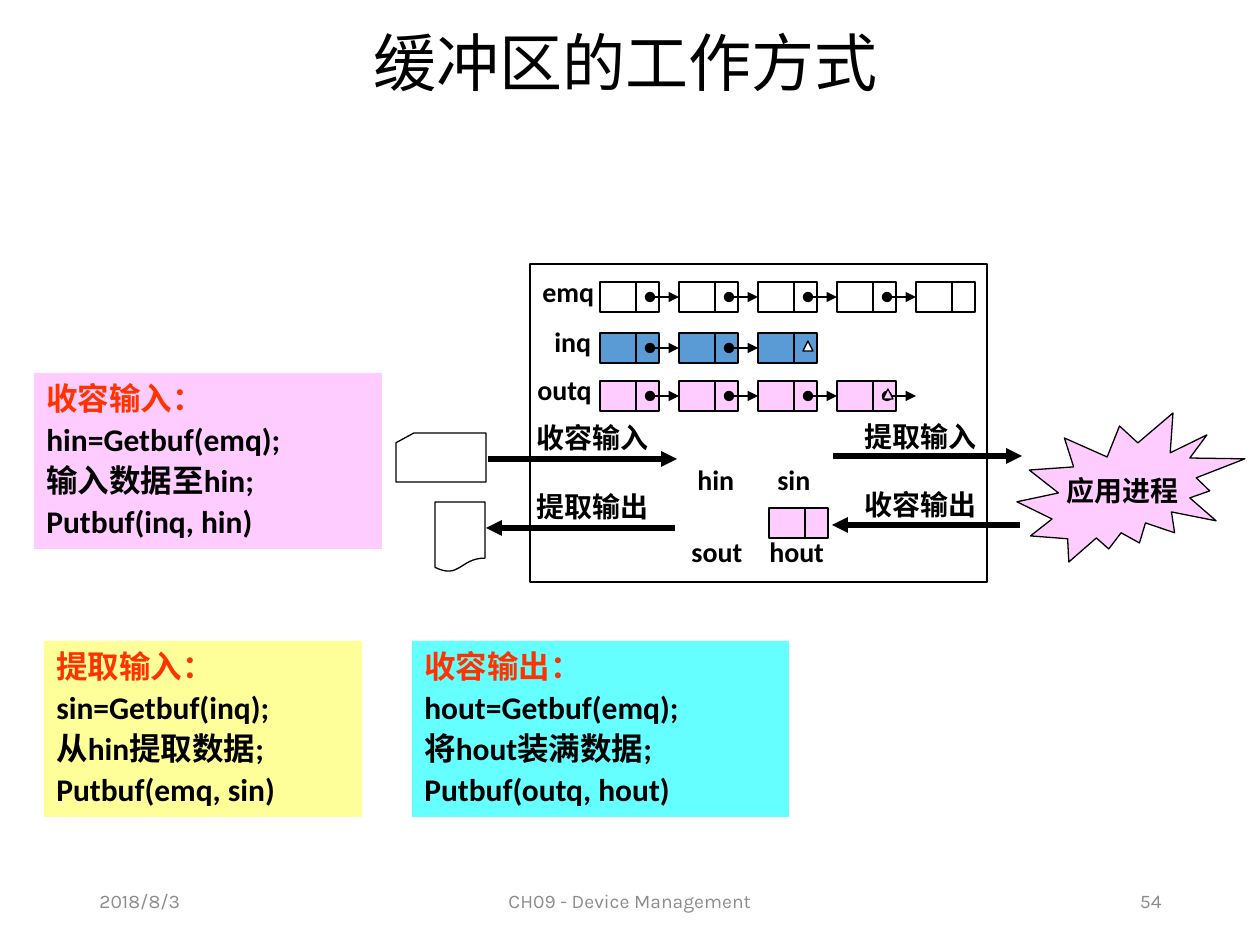
"""Build the slide on how a buffer pool works."""
from lxml import etree
from pptx import Presentation
from pptx.dml.color import RGBColor
from pptx.enum.shapes import MSO_CONNECTOR, MSO_SHAPE
from pptx.enum.text import MSO_ANCHOR, PP_ALIGN
from pptx.oxml.ns import qn
from pptx.util import Emu, Pt

STRAIGHT = MSO_CONNECTOR.STRAIGHT
RECTANGLE, TRIANGLE = MSO_SHAPE.RECTANGLE, MSO_SHAPE.ISOSCELES_TRIANGLE
CARD, DOCUMENT = MSO_SHAPE.FLOWCHART_CARD, MSO_SHAPE.FLOWCHART_DOCUMENT
BURST = MSO_SHAPE.EXPLOSION2
LEFT, CENTER, RIGHT = PP_ALIGN.LEFT, PP_ALIGN.CENTER, PP_ALIGN.RIGHT
TOP, MIDDLE = MSO_ANCHOR.TOP, MSO_ANCHOR.MIDDLE

BLACK = RGBColor(0x00, 0x00, 0x00)
WHITE = RGBColor(0xFF, 0xFF, 0xFF)
GRAY = RGBColor(0x8C, 0x8C, 0x8C)
RED = RGBColor(0xFF, 0x33, 0x00)
PINK = RGBColor(0xFF, 0xCC, 0xFF)
YELLOW = RGBColor(0xFF, 0xFF, 0x99)
CYAN = RGBColor(0x66, 0xFF, 0xFF)
BLUE = RGBColor(0x5B, 0x9B, 0xD5)

CJK_FONT = "Noto Sans CJK SC"
TITLE = "缓冲区的工作方式"
FOOTERS = [
    ("2018/8/3", 87, 284, LEFT),
    ("CH09 - Device Management", 417, 426, CENTER),
    ("54", 890, 284, RIGHT),
]
PROCEDURES = [
    (["收容输入：", "hin=Getbuf(emq);", "输入数据至hin;", "Putbuf(inq, hin)"],
     (34, 373, 348, 176), PINK),
    (["提取输入：", "sin=Getbuf(inq);", "从hin提取数据;", "Putbuf(emq, sin)"],
     (44, 641, 318, 176), YELLOW),
    (["收容输出：", "hout=Getbuf(emq);", "将hout装满数据;", "Putbuf(outq, hout)"],
     (412, 641, 377, 176), CYAN),
]
QUEUES = [(282, 5, 4, WHITE), (333, 3, 2, BLUE), (381, 4, 4, PINK)]
END_MARKS = [(803, 341, WHITE), (883, 389, PINK)]
LABELS = [
    ("emq", 530, 268, 79), ("inq", 542, 318, 79), ("outq", 525, 366, 89),
    ("hin", 685, 456, 69), ("sin", 765, 456, 69),
    ("hout", 757, 528, 89), ("sout", 679, 528, 79),
    ("收容输入", 524, 414, 149), ("提取输入", 852, 413, 149),
    ("提取输出", 524, 483, 149), ("收容输出", 852, 481, 149),
]
FLOWS = [(488, 677, 459), (833, 1022, 456), (675, 486, 528), (1020, 832, 525)]

CELL_LEFT, CELL_STEP, CELL_WIDTH, CELL_HEIGHT = 600, 79, 59, 30
DIVIDER, DOT = 36, 50


def px(value):
    return Emu(round(value * 914400 / 126))


def box(values):
    return [px(value) for value in values]


def write(shape, lines, size, font="Calibri", color=BLACK, bold=True,
          align=LEFT, anchor=TOP, wrap=True):
    frame = shape.text_frame
    frame.text = "\n".join(lines)
    frame.word_wrap = wrap
    frame.vertical_anchor = anchor
    for paragraph in frame.paragraphs:
        paragraph.alignment = align
        for run in paragraph.runs:
            run.font.name = font
            run.font.size = Pt(size)
            run.font.bold = bold
            run.font.color.rgb = color
            east_asian = etree.SubElement(run.font._element, qn("a:ea"))
            east_asian.set("typeface", CJK_FONT)


def add_shape(slide, kind, place, fill=None, outlined=True):
    shape = slide.shapes.add_shape(kind, *box(place))
    shape.shadow.inherit = False
    if fill is None:
        shape.fill.background()
    else:
        shape.fill.solid()
        shape.fill.fore_color.rgb = fill
    if outlined:
        shape.line.color.rgb = BLACK
        shape.line.width = Pt(0.75)
    else:
        shape.line.fill.background()
    return shape


def add_line(slide, ends, width=0.75, **arrowheads):
    line = slide.shapes.add_connector(STRAIGHT, *box(ends))
    line.line.color.rgb = BLACK
    line.line.width = Pt(width)
    properties = line._element.spPr
    for tag, kind in arrowheads.items():
        etree.SubElement(properties.find(qn("a:ln")), qn(f"a:{tag}")).set("type", kind)
    etree.SubElement(properties, qn("a:effectLst"))
    return line


def add_text(slide, text, place, size, **style):
    write(slide.shapes.add_textbox(*box(place)), [text], size, **style)


def add_buffer(slide, left, top, fill):
    cell = add_shape(slide, RECTANGLE, (left, top, CELL_WIDTH, CELL_HEIGHT), fill)
    middle = left + DIVIDER
    add_line(slide, (middle, top, middle, top + CELL_HEIGHT))
    return cell


def add_queue(slide, top, cell_count, arrow_count, fill):
    lefts = [CELL_LEFT + CELL_STEP * index for index in range(cell_count)]
    cells = [add_buffer(slide, left, top, fill) for left in lefts]
    y = top + CELL_HEIGHT // 2
    for index, left in enumerate(lefts[:arrow_count]):
        arrow = add_line(slide, (left + DOT, y, left + CELL_STEP, y),
                         headEnd="oval", tailEnd="triangle")
        if index + 1 < cell_count:
            arrow.end_connect(cells[index + 1], 1)


def main():
    presentation = Presentation()
    presentation.slide_width, presentation.slide_height = px(1260), px(945)
    slide = presentation.slides.add_slide(presentation.slide_layouts[5])

    title = slide.shapes.title
    title.left, title.top, title.width, title.height = box((83, 18, 1086, 96))
    write(title, [TITLE], 36, font=CJK_FONT, bold=False, align=CENTER, anchor=MIDDLE)
    title.text_frame.paragraphs[0].line_spacing = 0.9

    for text, left, width, align in FOOTERS:
        add_text(slide, text, (left, 876, width, 50), 11, font="Karla",
                 color=GRAY, bold=False, align=align, anchor=MIDDLE)

    for lines, place, fill in PROCEDURES:
        panel = add_shape(slide, RECTANGLE, place, fill, outlined=False)
        write(panel, lines, 18)
        for paragraph in panel.text_frame.paragraphs:
            paragraph.space_before = Pt(1.8)
        panel.text_frame.paragraphs[0].runs[0].font.color.rgb = RED

    process = add_shape(slide, BURST, (1017, 413, 228, 149), PINK)
    write(process, ["应用进程"], 16, align=CENTER, anchor=MIDDLE, wrap=False)
    add_shape(slide, RECTANGLE, (530, 264, 457, 318))
    add_shape(slide, CARD, (396, 433, 90, 49), WHITE)
    add_shape(slide, DOCUMENT, (435, 502, 50, 70), WHITE)

    for queue in QUEUES:
        add_queue(slide, *queue)
    for left, top, fill in END_MARKS:
        add_shape(slide, TRIANGLE, (left, top, 10, 10), fill)
    add_buffer(slide, 769, 508, PINK)

    for start, end, y in FLOWS:
        add_line(slide, (start, y, end, y), 3, tailEnd="triangle")
    for text, left, top, width in LABELS:
        add_text(slide, text, (left, top, width, 47), 16)

    presentation.save("out.pptx")


if __name__ == "__main__":
    main()
